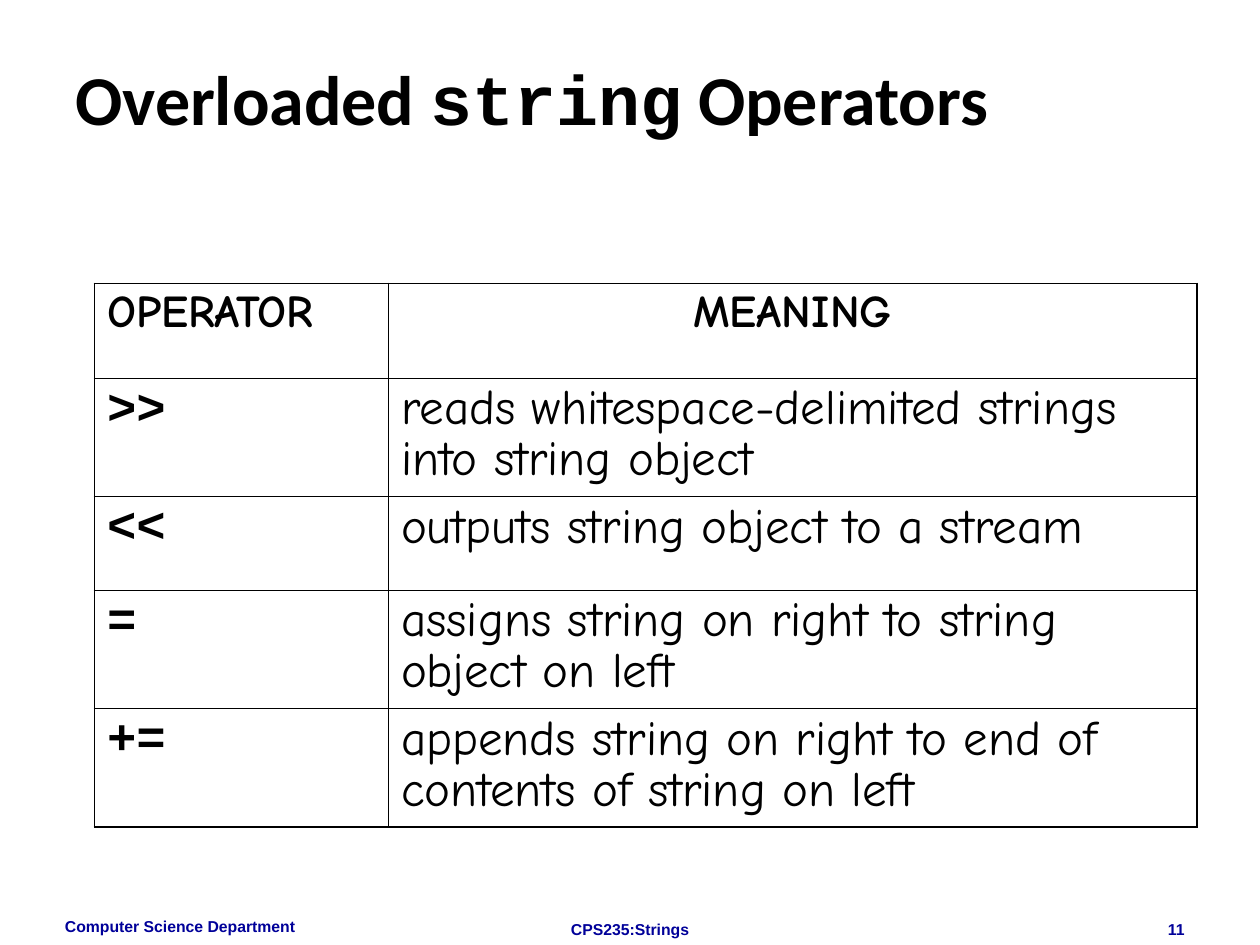
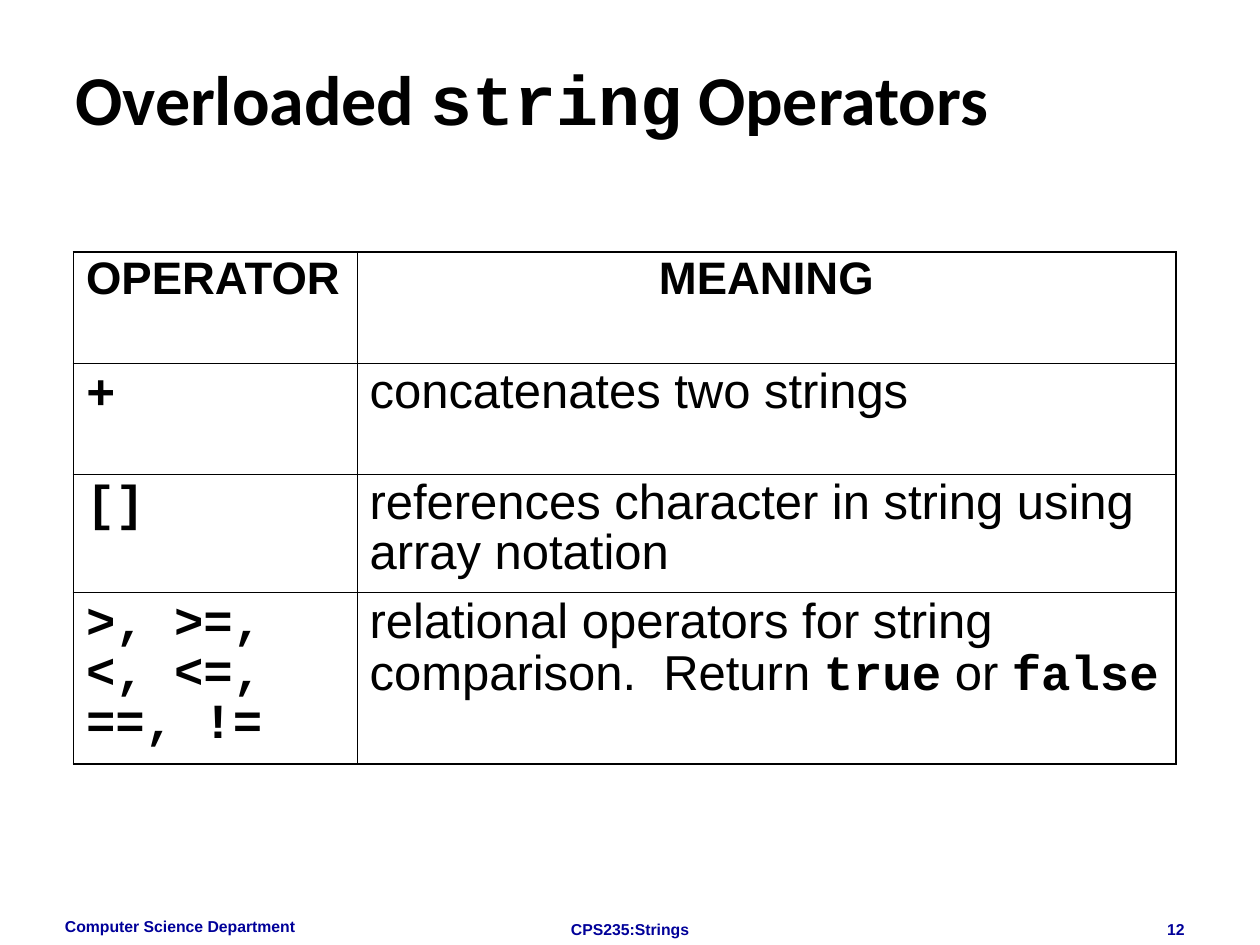
from lxml import etree
from pptx import Presentation
from pptx.dml.color import RGBColor
from pptx.enum.text import MSO_ANCHOR, PP_ALIGN
from pptx.oxml.ns import qn
from pptx.util import Pt

LEFT, CENTER, RIGHT = PP_ALIGN.LEFT, PP_ALIGN.CENTER, PP_ALIGN.RIGHT
TOP, MIDDLE = MSO_ANCHOR.TOP, MSO_ANCHOR.MIDDLE

COLORS = {"text": "000000", "footer": "000099", "border": "000000"}
BLANK_LAYOUT = 6
CODE_FONT = "Courier New"
OUTER_BORDER, INNER_BORDER = Pt(1.08), Pt(0.45)

TITLE = {"name": "Calibri", "size": Pt(40), "bold": True}
FOOTER = {"name": "Arial", "size": Pt(9), "bold": True}
HEADER = {"size": Pt(26), "bold": True}
OPERATOR = {"name": CODE_FONT, "size": Pt(28), "bold": True}
MEANING = {"size": Pt(28), "bold": False}

SLIDES = [
    {
        "number": "11",
        "position": (54, 162),
        "columns": (168, 462),
        "rows": (54, 67.7, 53.5, 67.7, 67.7),
        "font": "Comic Neue",
        "operators": [
            (">>", ["reads whitespace-delimited strings into string object"]),
            ("<<", ["outputs string object to a stream"]),
            ("=", ["assigns string on right to string object on left"]),
            ("+=", ["appends string on right to end of contents of string on left"]),
        ],
    },
    {
        "number": "12",
        "position": (42, 144),
        "columns": (162, 468),
        "rows": (63.5, 63.5, 67.7, 98),
        "font": "Arial",
        "operators": [
            ("+", ["concatenates two strings"]),
            ("[]", ["references character in string using array notation"]),
            (">, >=, <, <=, ==, !=", [
                "relational operators for string comparison.  Return ",
                "true", " or ", "false",
            ]),
        ],
    },
]


def add_run(paragraph, text, font_format, color="text"):
    """Add a run with the given font values and colour."""
    run = paragraph.add_run()
    run.text = text
    for attribute, value in font_format.items():
        setattr(run.font, attribute, value)
    run.font.color.rgb = RGBColor.from_string(COLORS[color])


def add_runs(paragraph, texts, text_format, code_format):
    """Add texts that alternate between prose and code."""
    for index, text in enumerate(texts):
        add_run(paragraph, text, code_format if index % 2 else text_format)


def add_text_box(slide, box, alignment=LEFT, anchor=TOP):
    """Add an empty wrapping text box and return its paragraph."""
    frame = slide.shapes.add_textbox(*map(Pt, box)).text_frame
    frame.word_wrap = True
    frame.vertical_anchor = anchor
    paragraph = frame.paragraphs[0]
    paragraph.alignment = alignment
    return paragraph


def add_title(slide):
    """Add the shared title with its code word."""
    paragraph = add_text_box(slide, (36, 21.6, 648, 68.4), anchor=MIDDLE)
    add_runs(paragraph, ["Overloaded ", "string", " Operators"],
             TITLE, {**TITLE, "name": CODE_FONT})


def add_footers(slide, number):
    """Add department, course and slide number."""
    for text, box, alignment in (
        ("Computer Science Department", (30, 520.5, 168, 19.5), LEFT),
        ("CPS235:Strings", (246, 522, 228, 7.2), CENTER),
        (number, (516, 522, 168, 7.2), RIGHT),
    ):
        add_run(add_text_box(slide, box, alignment), text, FOOTER, "footer")


def set_borders(cell, outer_sides):
    """Draw the four cell borders, heavier on the outer sides."""
    properties = cell._tc.get_or_add_tcPr()
    for index, (side, is_outer) in enumerate(outer_sides.items()):
        width = OUTER_BORDER if is_outer else INNER_BORDER
        line = etree.Element(qn(f"a:ln{side}"), w=str(int(width)))
        fill = etree.SubElement(line, qn("a:solidFill"))
        etree.SubElement(fill, qn("a:srgbClr"), val=COLORS["border"])
        properties.insert(index, line)


def fill_cell(cell, texts, text_format, alignment=LEFT):
    """Write one table cell without a background."""
    cell.fill.background()
    paragraph = cell.text_frame.paragraphs[0]
    paragraph.alignment = alignment
    paragraph.line_spacing = 0.9
    add_runs(paragraph, texts, text_format, OPERATOR)


def add_operator_table(slide, content):
    """Add the table of operators and their meanings."""
    columns, rows = content["columns"], content["rows"]
    size = (sum(columns), sum(rows))
    table = slide.shapes.add_table(
        len(rows), len(columns), *map(Pt, content["position"] + size)).table
    table.first_row = table.horz_banding = False
    for column, width in zip(table.columns, columns):
        column.width = Pt(width)
    for row, height in zip(table.rows, rows):
        row.height = Pt(height)

    header = {**HEADER, "name": content["font"]}
    meaning_format = {**MEANING, "name": content["font"]}
    fill_cell(table.cell(0, 0), ["OPERATOR"], header)
    fill_cell(table.cell(0, 1), ["MEANING"], header, CENTER)
    for index, (operator, meaning) in enumerate(content["operators"], 1):
        fill_cell(table.cell(index, 0), [operator], OPERATOR)
        fill_cell(table.cell(index, 1), meaning, meaning_format)

    last_row, last_column = len(rows) - 1, len(columns) - 1
    for row_index, row in enumerate(table.rows):
        for column_index, cell in enumerate(row.cells):
            set_borders(cell, {
                "L": column_index == 0, "R": column_index == last_column,
                "T": row_index == 0, "B": row_index == last_row,
            })


def main():
    """Build and save the presentation."""
    presentation = Presentation()
    presentation.slide_width, presentation.slide_height = Pt(720), Pt(540)
    for content in SLIDES:
        slide = presentation.slides.add_slide(
            presentation.slide_layouts[BLANK_LAYOUT])
        add_title(slide)
        add_footers(slide, content["number"])
        add_operator_table(slide, content)
    presentation.save("out.pptx")


if __name__ == "__main__":
    main()
